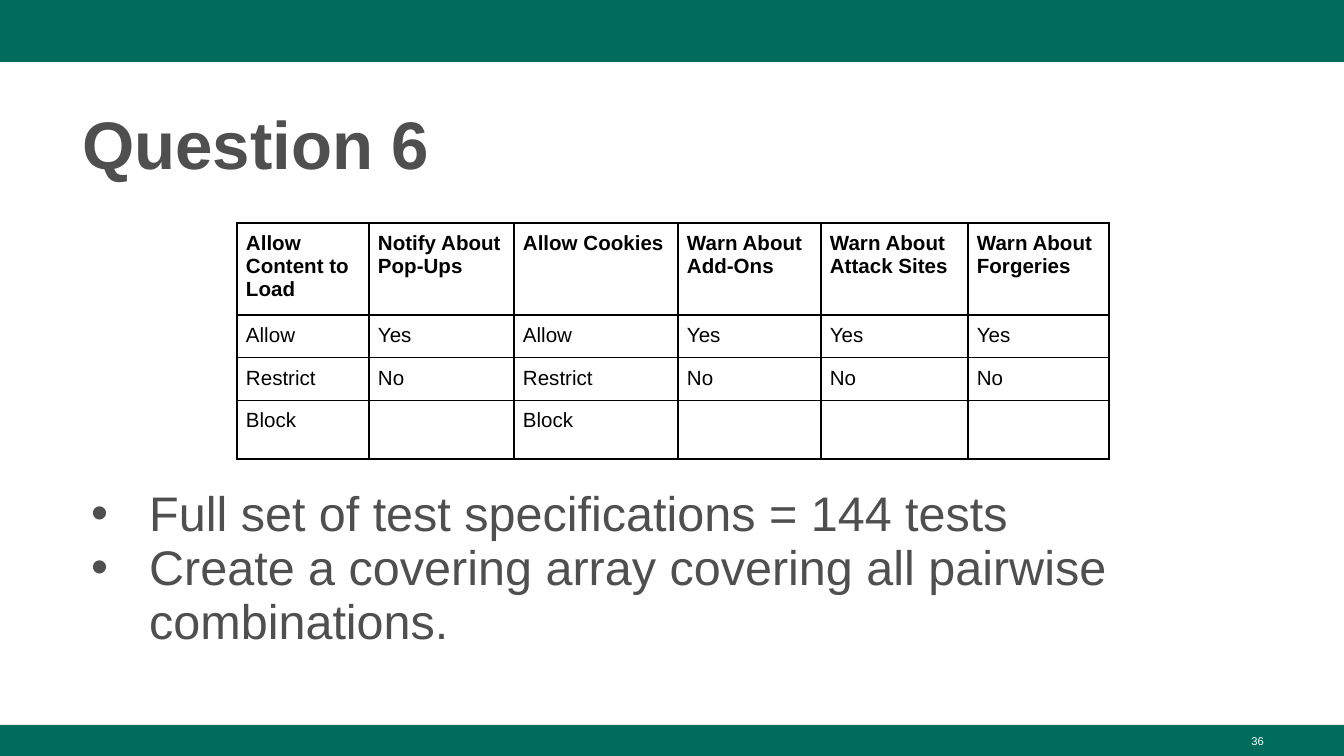
from dataclasses import dataclass

from lxml.etree import SubElement
from pptx import Presentation
from pptx.dml.color import RGBColor
from pptx.enum.shapes import MSO_SHAPE
from pptx.enum.text import MSO_ANCHOR, PP_ALIGN
from pptx.oxml.ns import qn
from pptx.util import Pt

EMU_PER_INCH = 914400
PX_PER_INCH = 134.4
FONT = "Arial"
COLORS = {"green": "006C5C", "gray": "4F4F4F", "black": "000000", "white": "FFFFFF"}

COLUMN_WIDTHS = [132, 145, 164, 143, 147, 141]
ROW_HEIGHTS = [88, 41, 42, 56]
CELL_MARGIN = 9
TABLE_ROWS = [
    ["Allow Content to Load", "Notify About Pop-Ups", "Allow Cookies",
     "Warn About Add-Ons", "Warn About Attack Sites", "Warn About Forgeries"],
    ["Allow", "Yes", "Allow", "Yes", "Yes", "Yes"],
    ["Restrict", "No", "Restrict", "No", "No", "No"],
    ["Block", "", "Block", "", "", ""],
]
BULLETS = [
    "Full set of test specifications = 144 tests",
    "Create a covering array covering all pairwise combinations.",
]


@dataclass(frozen=True)
class Area:
    left: int
    top: int
    width: int
    height: int

    def emu(self) -> list[int]:
        return [px(n) for n in (self.left, self.top, self.width, self.height)]


@dataclass(frozen=True)
class TextStyle:
    size: int
    color: str
    bold: bool = False


@dataclass(frozen=True)
class TextBlock:
    area: Area
    lines: list[str]
    style: TextStyle
    align: PP_ALIGN = PP_ALIGN.LEFT
    anchor: MSO_ANCHOR = MSO_ANCHOR.MIDDLE
    spacing: float = 1.0
    margin_top: int = 7
    bulleted: bool = False


BANDS = [Area(0, 0, 1344, 62), Area(0, 725, 1344, 31)]
TABLE_AREA = Area(237, 223, sum(COLUMN_WIDTHS), sum(ROW_HEIGHTS))
TEXT_BLOCKS = [
    TextBlock(Area(964, 725, 313, 31), ["36"], TextStyle(6, "white"), PP_ALIGN.RIGHT),
    TextBlock(Area(69, 90, 1208, 98), ["Question 6"], TextStyle(36, "gray", True),
              spacing=1.08),
    TextBlock(Area(69, 188, 1208, 512), BULLETS, TextStyle(26, "gray"),
              anchor=MSO_ANCHOR.TOP, spacing=0.93, margin_top=300, bulleted=True),
]


def px(length: int) -> int:
    return round(length * EMU_PER_INCH / PX_PER_INCH)


def rgb(name: str) -> RGBColor:
    return RGBColor.from_string(COLORS[name])


def add_span(para, text: str, style: TextStyle) -> None:
    span = para.add_run()
    span.text = text
    span.font.name = FONT
    span.font.size = Pt(style.size)
    span.font.bold = style.bold
    span.font.color.rgb = rgb(style.color)


def add_bullet(para) -> None:
    """Give the paragraph a hanging indent and a round bullet."""
    properties = para._p.get_or_add_pPr()
    properties.set("marL", str(px(67)))
    properties.set("indent", str(-px(58)))
    SubElement(properties, qn("a:buFont"), typeface=FONT)
    SubElement(properties, qn("a:buChar"), char="•")


def add_band(page, area: Area) -> None:
    band = page.shapes.add_shape(MSO_SHAPE.RECTANGLE, *area.emu())
    band.shadow.inherit = False
    band.fill.solid()
    band.fill.fore_color.rgb = rgb("green")
    band.line.fill.background()


def add_text_block(page, block: TextBlock) -> None:
    frame = page.shapes.add_textbox(*block.area.emu()).text_frame
    frame.word_wrap = True
    frame.vertical_anchor = block.anchor
    frame.margin_top = px(block.margin_top)
    for index, line in enumerate(block.lines):
        para = frame.add_paragraph() if index else frame.paragraphs[0]
        para.alignment = block.align
        para.line_spacing = block.spacing
        if block.bulleted:
            add_bullet(para)
        add_span(para, line, block.style)


def add_borders(cell) -> None:
    """Draw a thin black line on all four sides, placed before the cell's fill."""
    properties = cell._tc.get_or_add_tcPr()
    for index, side in enumerate(("a:lnL", "a:lnR", "a:lnT", "a:lnB")):
        line = SubElement(properties, qn(side), w=str(Pt(1)))
        fill = SubElement(line, qn("a:solidFill"))
        SubElement(fill, qn("a:srgbClr"), val=COLORS["black"])
        properties.insert(index, line)


def add_options_table(page) -> None:
    table = page.shapes.add_table(
        len(ROW_HEIGHTS), len(COLUMN_WIDTHS), *TABLE_AREA.emu()).table
    table.first_row = table.horz_banding = False
    for column, width in zip(table.columns, COLUMN_WIDTHS):
        column.width = px(width)
    for row_index, (row, height) in enumerate(zip(table.rows, ROW_HEIGHTS)):
        row.height = px(height)
        style = TextStyle(11, "black", bold=row_index == 0)
        for cell, text in zip(row.cells, TABLE_ROWS[row_index]):
            cell.margin_left = cell.margin_right = px(CELL_MARGIN)
            cell.margin_top = cell.margin_bottom = px(CELL_MARGIN)
            cell.fill.background()
            add_borders(cell)
            if text:
                add_span(cell.text_frame.paragraphs[0], text, style)


def main() -> None:
    deck = Presentation()
    deck.slide_width, deck.slide_height = px(1344), px(756)
    page = deck.slides.add_slide(deck.slide_layouts[6])
    for area in BANDS:
        add_band(page, area)
    for block in TEXT_BLOCKS:
        add_text_block(page, block)
    add_options_table(page)
    deck.save("out.pptx")


if __name__ == "__main__":
    main()
